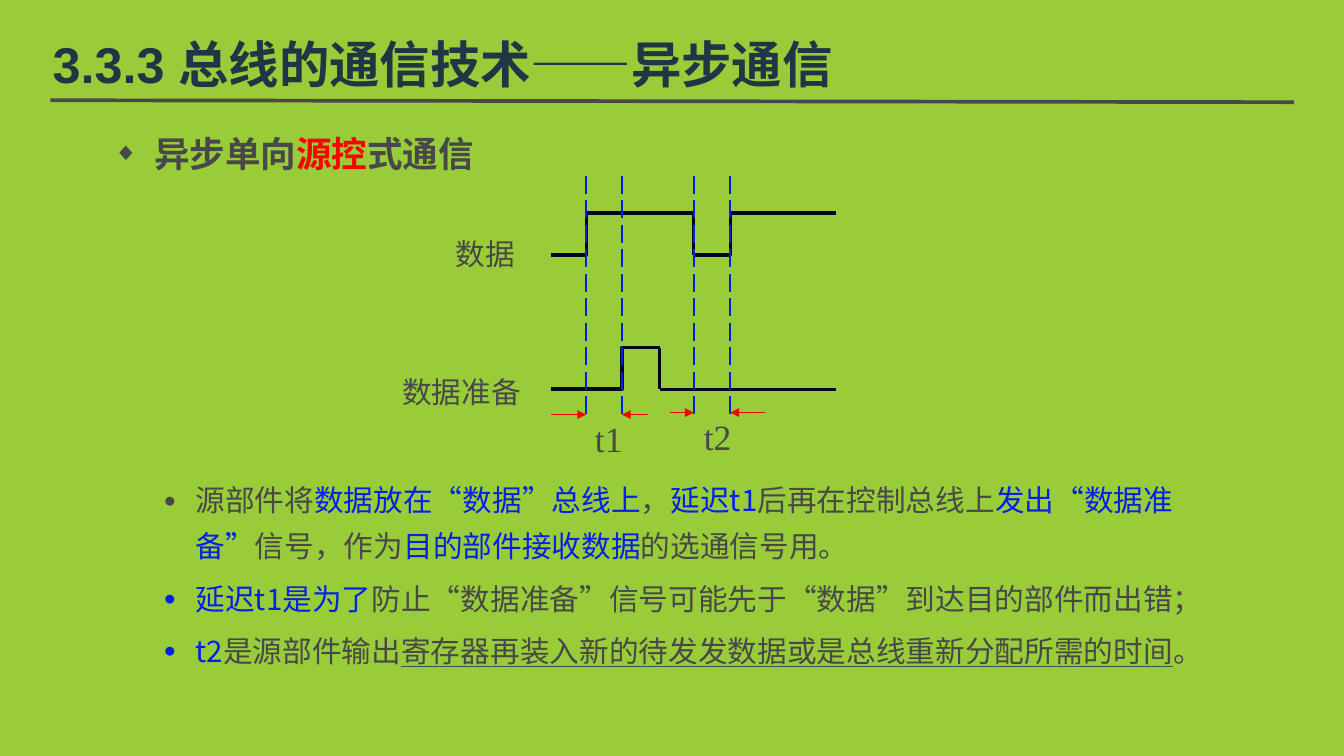
from lxml.etree import SubElement
from pptx import Presentation
from pptx.dml.color import RGBColor
from pptx.enum.dml import MSO_LINE
from pptx.enum.lang import MSO_LANGUAGE_ID as Language
from pptx.enum.shapes import MSO_CONNECTOR as Connector
from pptx.enum.text import MSO_ANCHOR, MSO_AUTO_SIZE, PP_ALIGN
from pptx.oxml.ns import qn
from pptx.util import Pt

GREEN, GREY, NAVY = "99CC39", "484849", "1F3744"
BLUE, RED, BLACK = "0621E6", "FF0000", "01041D"
SANS, SERIF = "Noto Sans CJK SC", "Times New Roman"


def format_run(run, size, name, color, bold=False):
    font = run.font
    font.size, font.name, font.bold = Pt(size), name, bold
    font.language_id = Language.SIMPLIFIED_CHINESE
    font.color.rgb = RGBColor.from_string(color)
    SubElement(font._element, qn("a:ea"), typeface=SANS)


def add_line(kind, points, color, width):
    connector = slide.shapes.add_connector(kind, *[Pt(value) for value in points])
    connector.line.color.rgb = RGBColor.from_string(color)
    connector.line.width = Pt(width)
    SubElement(connector._element.spPr, qn("a:effectLst"))
    return connector


presentation = Presentation()
presentation.slide_width, presentation.slide_height = Pt(907.2), Pt(510.5)
slide = presentation.slides.add_slide(presentation.slide_layouts[1])
slide.background.fill.solid()
slide.background.fill.fore_color.rgb = RGBColor.from_string(GREEN)

# Title
title = slide.shapes.title
title.left, title.top, title.width, title.height = Pt(35.6), Pt(24.5), Pt(580), Pt(36.7)
frame = title.text_frame
frame.text = "3.3.3 总线的通信技术——异步通信"
frame.auto_size, frame.vertical_anchor = MSO_AUTO_SIZE.NONE, MSO_ANCHOR.MIDDLE
frame.margin_left = frame.margin_top = frame.margin_right = frame.margin_bottom = 0
frame.paragraphs[0].alignment = PP_ALIGN.LEFT
format_run(frame.paragraphs[0].runs[0], 34, "Arial", NAVY, True)
add_line(Connector.STRAIGHT, (34, 67.7, 873.4, 69), GREY, 2.5)

# Heading and explanation; the wide space before leaves room for the diagram
body = slide.placeholders[1]
body.left, body.top, body.width, body.height = Pt(69.4), Pt(89), Pt(775.4), Pt(380.5)
frame = body.text_frame
frame.auto_size, frame.vertical_anchor = MSO_AUTO_SIZE.NONE, MSO_ANCHOR.TOP
frame.margin_top = 0
heading = [("异步单向", GREY), ("源控", RED), ("式通信", GREY)]
signal_order = [
    ("源部件将", GREY), ("数据放在“数据”总线上", BLUE), ("，", GREY),
    ("延迟t1", BLUE), ("后再在控制总线上", GREY), ("发出“数据准备”", BLUE),
    ("信号，作为", GREY), ("目的部件接收数据", BLUE), ("的选通信号用。", GREY),
]
t1_reason = [
    ("延迟t1是为了", BLUE),
    ("防止“数据准备”信号可能先于“数据”到达目的部件而出错；", GREY),
]
underlined = "寄存器再装入新的待发发数据或是总线重新分配所需的时间"
t2_meaning = [("t2", BLUE), ("是源部件输出", GREY), (underlined, GREY), ("。", GREY)]
# parts, level, size, line spacing, space before, left margin, hanging, bullet
body_rows = [
    (heading, 0, 24, 1, 0, 27.4, 27.4, "◆"),
    (signal_order, 1, 20, 1.3, 200.5, 55.4, 21.6, "●"),
    (t1_reason, 1, 20, 1.3, 4, 55.4, 21.6, "●"),
    (t2_meaning, 1, 20, 1.3, 4, 55.4, 21.6, "●"),
]
for index, (parts, level, size, spacing, before, margin, hanging, bullet) in enumerate(body_rows):
    paragraph = frame.add_paragraph() if index else frame.paragraphs[0]
    paragraph.level, paragraph.line_spacing = level, spacing
    paragraph.space_before, paragraph.space_after = Pt(before), Pt(0)
    properties = paragraph._p.get_or_add_pPr()
    properties.set("marL", str(Pt(margin)))
    properties.set("indent", str(-Pt(hanging)))
    SubElement(properties, qn("a:buSzPct"), val="70000")
    SubElement(properties, qn("a:buFont"), typeface="Arial")
    SubElement(properties, qn("a:buChar"), char=bullet)
    for text, color in parts:
        run = paragraph.add_run()
        run.text = text
        format_run(run, size, SANS, color, level == 0)
        if text == underlined:
            run.font.underline = True

# Signal waveforms: rising steps as elbows, with the edge position in between
start, data_rise, ready_rise, ready_fall = 371.8, 395.7, 419.8, 445.2
data_fall, next_rise, end = 468.3, 493, 564.5
data_high, data_low, ready_high, ready_low = 143.8, 172.2, 234.7, 262.8
for left, edge, right, low, high in [
    (start, data_rise, data_fall, data_low, data_high),
    (data_fall, next_rise, end, data_low, data_high),
    (start, ready_rise, ready_fall, ready_low, ready_high),
]:
    step = add_line(Connector.ELBOW, (left, low, right, high), BLACK, 2.25)
    adjustments = step._element.spPr.find(qn("a:prstGeom")).get_or_add_avLst()
    share = round((edge - left) / (right - left) * 100000)
    SubElement(adjustments, qn("a:gd"), name="adj1", fmla=f"val {share}")
for points in [
    (data_fall, data_high, data_fall, data_low),
    (ready_fall, ready_high, ready_fall, ready_low),
    (ready_fall, ready_low, end, ready_low),
]:
    add_line(Connector.STRAIGHT, points, BLACK, 2.25)

# Dashed time marks
for mark in (data_rise, ready_rise, data_fall, next_rise):
    dashed = add_line(Connector.STRAIGHT, (mark, 118.8, mark, 283.5), BLUE, 1.5)
    dashed.line.dash_style = MSO_LINE.LONG_DASH

# Arrows that enclose t1 and t2
for tail, tip, height in [
    (start, data_rise, 280), (437.5, ready_rise, 280),
    (452, data_fall, 278.6), (516.5, next_rise, 278.6),
]:
    arrow = add_line(Connector.STRAIGHT, (tail, height, tip, height), RED, 1)
    SubElement(arrow.line._get_or_add_ln(), qn("a:tailEnd"), type="triangle")

# Signal and time labels
for text, left, top, width, height, size, name in [
    ("数据", 300.4, 155.6, 83, 32, 20, SANS),
    ("数据准备", 264.4, 248.6, 117, 32, 20, SANS),
    ("t1", 394.5, 278.2, 33, 36, 24, SERIF),
    ("t2", 468, 276.5, 33, 36, 24, SERIF),
]:
    label = slide.shapes.add_textbox(Pt(left), Pt(top), Pt(width), Pt(height))
    label.text_frame.text = text
    label.text_frame.word_wrap = name == SANS
    format_run(label.text_frame.paragraphs[0].runs[0], size, name, GREY)

presentation.save("out.pptx")
